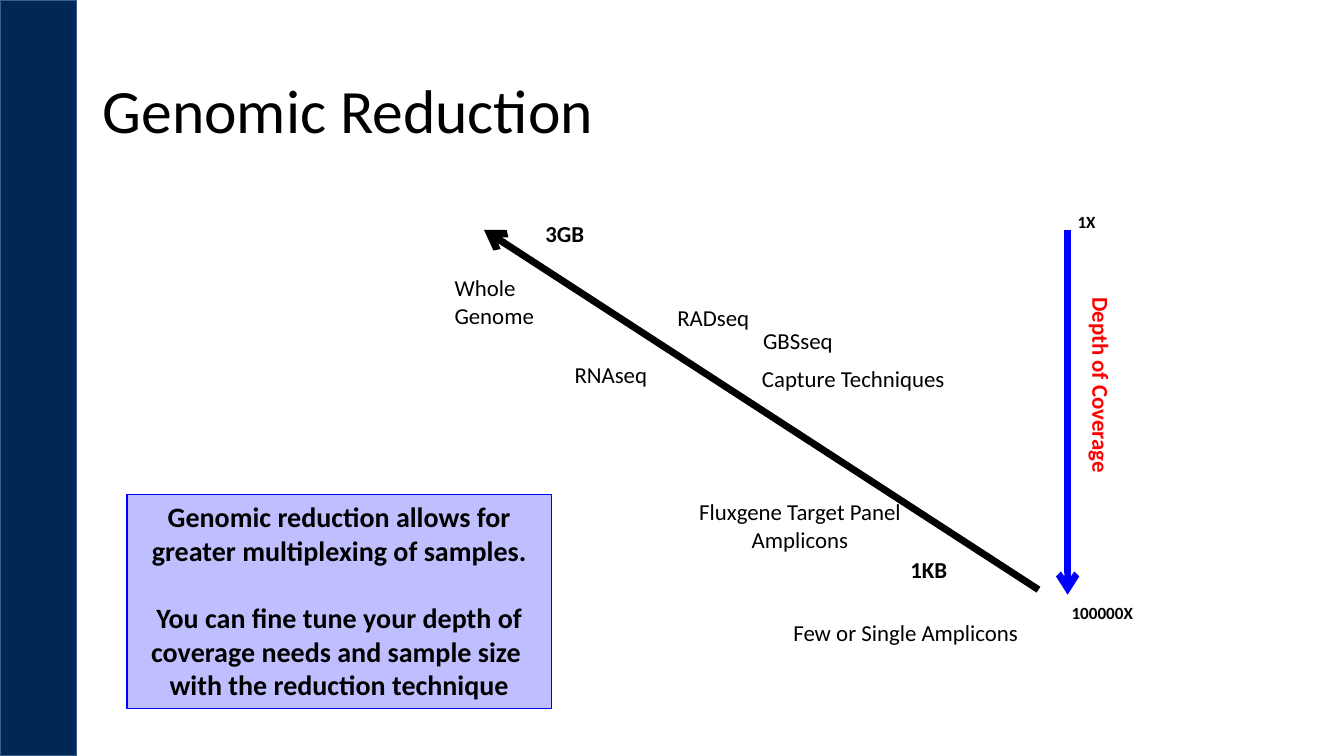
from dataclasses import dataclass

from lxml import etree
from pptx import Presentation
from pptx import util as u
from pptx.dml.color import RGBColor
from pptx.enum import shapes, text
from pptx.oxml.ns import qn


@dataclass(frozen=True)
class Theme:
    font: str = "Calibri"
    black: str = "000000"
    red: str = "FF0000"
    blue: str = "0000FF"
    navy: str = "002755"
    navy_edge: str = "3A5F8C"
    title: float = 44
    callout: float = 20
    label: float = 16.3
    small: float = 12.2


T = Theme()


@dataclass(frozen=True)
class Box:
    """Place and size as percentages of the slide's width and height."""
    left: float
    top: float
    width: float
    height: float


@dataclass(frozen=True)
class Label:
    words: str
    box: Box
    size: float
    color: str = T.black
    bold: bool = False
    align: text.PP_ALIGN = text.PP_ALIGN.LEFT
    wrap: bool = True
    rotation: float = 0


@dataclass(frozen=True)
class Arrow:
    start: tuple[float, float]
    end: tuple[float, float]
    color: str
    weight: float


WIDTH, HEIGHT = u.Inches(13.33), u.Inches(7.5)
ONE_LINE, TWO_LINES, SMALL_LINE = 5.07, 8.67, 4.13

TITLE = Label("Genomic Reduction", Box(6.9, 5.33, 86.27, 19.33), T.title)
SIDEBAR = Box(0, 0, 5.7, 100)
CALLOUT = Box(9.45, 65.47, 31.58, 28.27)
CALLOUT_WORDS = [
    "Genomic reduction allows for greater multiplexing of samples.",
    "You can fine tune your depth of coverage needs and sample size ",
    "with the reduction technique",
]

ARROWS = [
    Arrow((79.44, 30.4), (79.44, 78.67), T.blue, 4.75),
    Arrow((77.27, 78), (36.01, 30.4), T.black, 5),
]

LABELS = [
    Label("Depth of Coverage", Box(72.99, 51.33, 17.85, ONE_LINE), T.label,
          color=T.red, bold=True, rotation=90),
    Label("1X", Box(79.44, 27.33, 3.83, SMALL_LINE), T.small, bold=True),
    Label("100000X", Box(78.99, 79.07, 7.2, SMALL_LINE), T.small, bold=True),
    Label("3GB", Box(39.83, 28.4, 5.03, ONE_LINE), T.label, bold=True),
    Label("1KB", Box(66.99, 72.8, 6.08, ONE_LINE), T.label, bold=True),
    Label("Whole Genome", Box(33.08, 35.6, 11.03, TWO_LINES), T.label),
    Label("RADseq", Box(49.66, 39.47, 7.65, ONE_LINE), T.label),
    Label("GBSseq", Box(56.04, 42.53, 7.65, ONE_LINE), T.label),
    Label("RNAseq", Box(42.01, 47.07, 7.65, ONE_LINE), T.label),
    Label("Capture Techniques", Box(55.96, 47.6, 15.3, ONE_LINE), T.label,
          wrap=False),
    Label("Fluxgene Target Panel Amplicons", Box(50.86, 65.2, 17.33, TWO_LINES),
          T.label, align=text.PP_ALIGN.CENTER),
    Label("Few or Single Amplicons", Box(58.29, 81.2, 18.45, ONE_LINE), T.label,
          wrap=False),
]


def across(share: float) -> int:
    return round(WIDTH * share / 100)


def down(share: float) -> int:
    return round(HEIGHT * share / 100)


def frame(box: Box) -> tuple[int, int, int, int]:
    return across(box.left), down(box.top), across(box.width), down(box.height)


def add_run(p, words: str, size: float, color: str, bold: bool) -> None:
    r = p.add_run()
    r.text = words
    r.font.name = T.font
    r.font.size = u.Pt(size)
    r.font.bold = bold
    r.font.color.rgb = RGBColor.from_string(color)


def add_label(s, label: Label):
    sp = s.shapes.add_textbox(*frame(label.box))
    sp.rotation = label.rotation
    tf = sp.text_frame
    tf.word_wrap = label.wrap
    tf.auto_size = text.MSO_AUTO_SIZE.SHAPE_TO_FIT_TEXT
    p = tf.paragraphs[0]
    p.alignment = label.align
    add_run(p, label.words, label.size, label.color, label.bold)
    return sp


def add_title(s) -> None:
    tf = add_label(s, TITLE).text_frame
    tf.auto_size = text.MSO_AUTO_SIZE.NONE
    tf.vertical_anchor = text.MSO_ANCHOR.MIDDLE
    tf.paragraphs[0].line_spacing = 0.9


def add_panel(s, box: Box, fill: str, line: str, weight: float):
    sp = s.shapes.add_shape(shapes.MSO_SHAPE.RECTANGLE, *frame(box))
    sp.shadow.inherit = False
    sp.fill.solid()
    sp.fill.fore_color.rgb = RGBColor.from_string(fill)
    sp.line.color.rgb = RGBColor.from_string(line)
    sp.line.width = u.Pt(weight)
    return sp


def add_callout(s) -> None:
    sp = add_panel(s, CALLOUT, T.blue, T.blue, 0.75)
    color = sp.fill._xPr.find(qn("a:solidFill"))[0]
    etree.SubElement(color, qn("a:alpha"), val="25000")
    tf = sp.text_frame
    tf.word_wrap = True
    tf.auto_size = text.MSO_AUTO_SIZE.SHAPE_TO_FIT_TEXT
    tf.vertical_anchor = text.MSO_ANCHOR.TOP
    for i, words in enumerate(CALLOUT_WORDS):
        p = tf.add_paragraph() if i else tf.paragraphs[0]
        p.alignment = text.PP_ALIGN.CENTER
        add_run(p, words, T.callout, T.black, bold=True)
    tf.paragraphs[0].space_after = u.Pt(T.callout * 1.2)


def add_arrow(s, arrow: Arrow) -> None:
    (x1, y1), (x2, y2) = arrow.start, arrow.end
    cxn = s.shapes.add_connector(shapes.MSO_CONNECTOR.STRAIGHT,
                                 across(x1), down(y1), across(x2), down(y2))
    cxn.line.color.rgb = RGBColor.from_string(arrow.color)
    cxn.line.width = u.Pt(arrow.weight)
    etree.SubElement(cxn.line._get_or_add_ln(), qn("a:tailEnd"), type="arrow")
    etree.SubElement(cxn._element.spPr, qn("a:effectLst"))


def main() -> None:
    prs = Presentation()
    prs.slide_width, prs.slide_height = WIDTH, HEIGHT
    s = prs.slides.add_slide(prs.slide_layouts[6])
    add_panel(s, SIDEBAR, T.navy, T.navy_edge, 1)
    add_title(s)
    for arrow in ARROWS:
        add_arrow(s, arrow)
    for label in LABELS:
        add_label(s, label)
    add_callout(s)
    prs.save("out.pptx")


if __name__ == "__main__":
    main()
